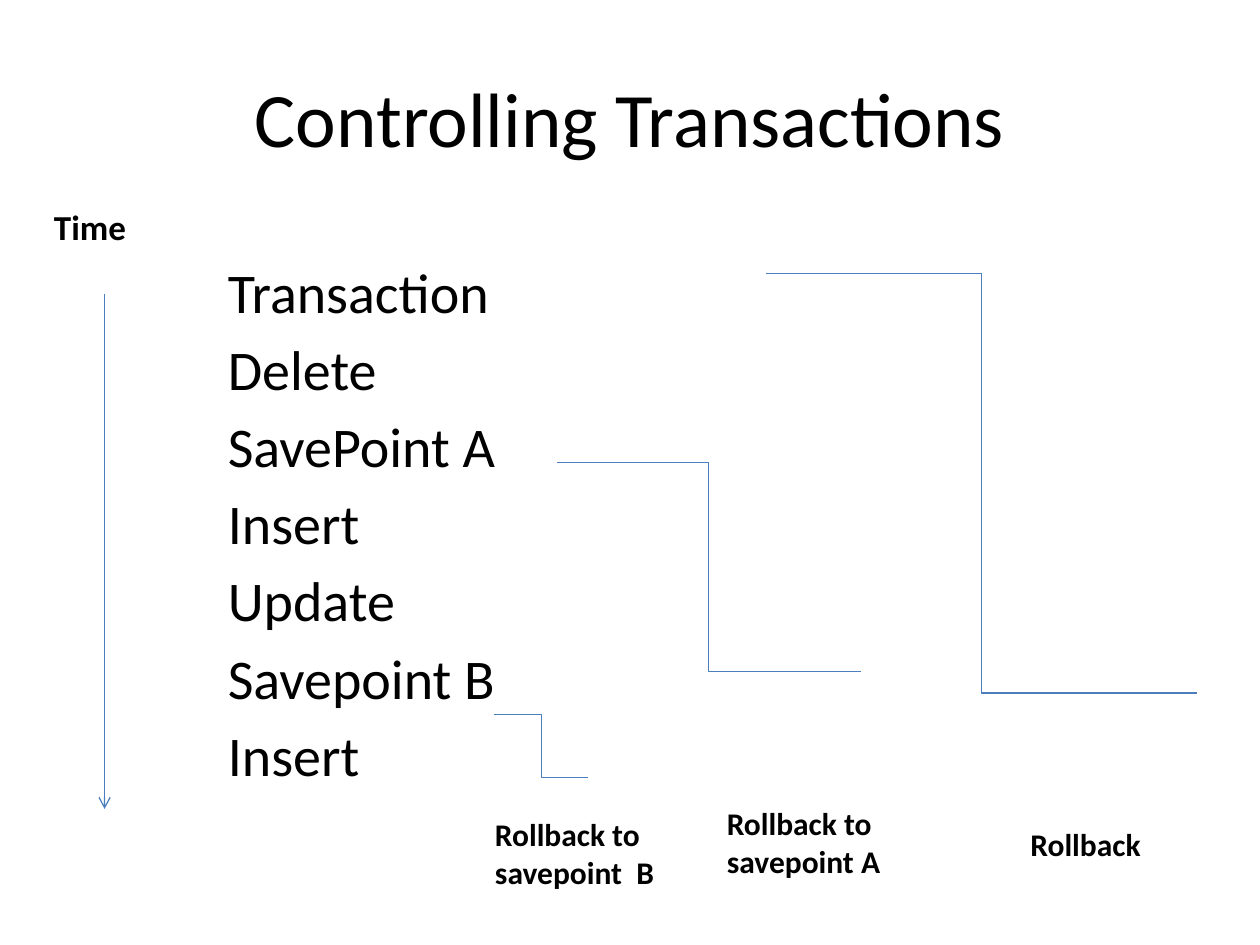
import pptx
import pptx.util
import pptx.dml.color
import pptx.enum.shapes
import pptx.enum.text
import pptx.oxml.ns
import lxml.etree
from pptx.util import Inches

BLACK = pptx.dml.color.RGBColor(0x00, 0x00, 0x00)
BLUE = pptx.dml.color.RGBColor(0x4B, 0x7E, 0xBC)
FONT = "Calibri"
STEPS = ["Transaction", "Delete", "SavePoint A", "Insert", "Update",
         "Savepoint B", "Insert"]
# start x, start y, end x, end y
ROLLBACK_SPANS = [
    (4.42, 3.67, 6.83, 5.33),
    (6.08, 2.17, 9.5, 5.5),
    (3.92, 5.67, 4.67, 6.17),
]
# text, left, top, width, height
ROLLBACK_LABELS = [
    ("Rollback to savepoint  B", 3.83, 6.42, 1.58, 0.71),
    ("Rollback to savepoint A", 5.67, 6.33, 1.5, 0.71),
    ("Rollback", 8.08, 6.5, 1.33, 0.4),
]


def add_box(page, left, top, width, height):
    """Add an empty wrapping text box and return its text frame."""
    box = page.shapes.add_textbox(
        Inches(left), Inches(top), Inches(width), Inches(height))
    box.text_frame.word_wrap = True
    return box.text_frame


def add_span(para, text, size, bold=False):
    """Add one run of black text to a paragraph."""
    span = para.add_run()
    span.text = text
    span.font.name = FONT
    span.font.size = pptx.util.Pt(size)
    span.font.bold = bold
    span.font.color.rgb = BLACK


def add_title(page, text):
    """Add the centred slide title."""
    frame = add_box(page, 0.5, 0.3, 9, 1.25)
    frame.vertical_anchor = pptx.enum.text.MSO_ANCHOR.MIDDLE
    para = frame.paragraphs[0]
    para.alignment = pptx.enum.text.PP_ALIGN.CENTER
    add_span(para, text, 44)


def add_timeline_text(page, heading, steps):
    """Add the time heading and the indented transaction steps."""
    frame = add_box(page, 0.33, 1.58, 9.17, 5.67)
    add_span(frame.paragraphs[0], heading, 20, bold=True)
    for step in steps:
        para = frame.add_paragraph()
        para.space_before = pptx.util.Pt(5.7)
        para._p.get_or_add_pPr().set("marL", str(Inches(1.38)))
        add_span(para, step, 32)


def add_label(page, text, left, top, width, height):
    """Add a bold rollback label."""
    frame = add_box(page, left, top, width, height)
    add_span(frame.paragraphs[0], text, 18, bold=True)


def add_line(page, kind, start_x, start_y, end_x, end_y, arrow=False):
    """Add a thin blue connector, with an arrowhead at its end if asked."""
    line = page.shapes.add_connector(
        kind, Inches(start_x), Inches(start_y), Inches(end_x), Inches(end_y))
    line.line.color.rgb = BLUE
    line.line.width = pptx.util.Pt(0.75)
    qn = pptx.oxml.ns.qn
    if arrow:
        outline = line.line._get_or_add_ln()
        lxml.etree.SubElement(outline, qn("a:tailEnd"), type="arrow")
    lxml.etree.SubElement(line._element.spPr, qn("a:effectLst"))


def main():
    """Build the slide and save the deck."""
    deck = pptx.Presentation()
    deck.slide_width = Inches(10)
    deck.slide_height = Inches(7.5)
    page = deck.slides.add_slide(deck.slide_layouts[6])
    connector = pptx.enum.shapes.MSO_CONNECTOR

    add_title(page, "Controlling Transactions")
    add_timeline_text(page, "Time", STEPS)
    for ends in ROLLBACK_SPANS:
        add_line(page, connector.ELBOW, *ends)
    for label in ROLLBACK_LABELS:
        add_label(page, *label)
    add_line(page, connector.STRAIGHT, 0.83, 2.33, 0.83, 6.42, arrow=True)
    deck.save("out.pptx")


main()
